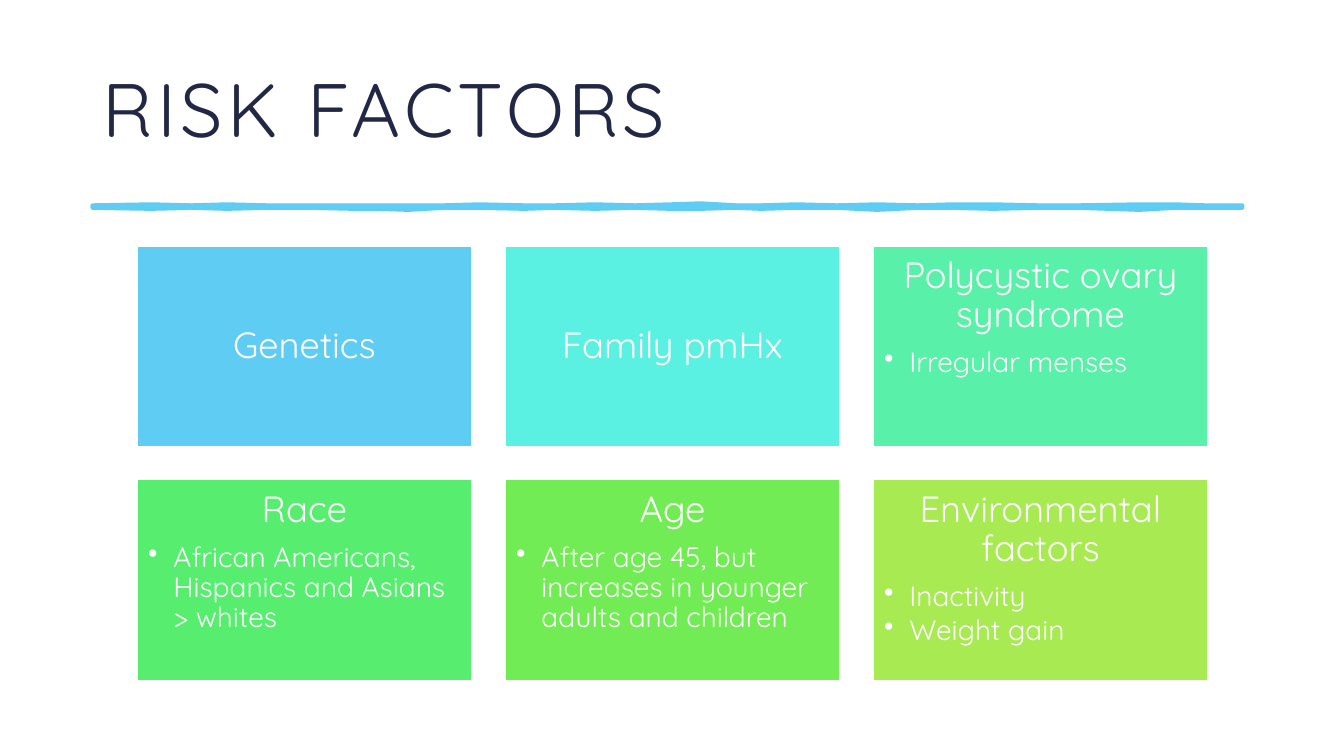
from dataclasses import dataclass

from lxml import etree
from pptx import Presentation
from pptx import util as u
from pptx.dml.color import RGBColor
from pptx.enum import shapes, text
from pptx.oxml.ns import qn

FONT = "Quicksand"
COLORS = {
    "navy": "212745", "white": "FFFFFF", "blue": "5ECCF3", "cyan": "5BF1E2",
    "mint": "59F0A9", "green": "57EE70", "lime": "72EC54", "olive": "A7EA52",
}

# Card grid, in inches
COLUMNS = 3
LEFT, TOP = 1.36, 2.44
CARD_W, CARD_H = 3.32, 1.99
GAP = 0.33
INSET = 0.11


@dataclass(frozen=True)
class Card:
    heading: str
    color: str
    bullets: tuple[str, ...] = ()


CARDS = (
    Card("Genetics", "blue"),
    Card("Family pmHx", "cyan"),
    Card("Polycystic ovary syndrome", "mint", ("Irregular menses",)),
    Card("Race", "green", ("African Americans, Hispanics and Asians > whites",)),
    Card("Age", "lime", ("After age 45, but increases in younger adults and children",)),
    Card("Environmental factors", "olive", ("Inactivity", "Weight gain")),
)

# Brush stroke under the title: x, upper edge, lower edge, in hundredths of an inch
STROKE = (
    (92, 204, 206), (150, 203, 207), (190, 204, 206), (225, 203, 207),
    (265, 204, 206), (310, 204, 206), (350, 204, 207), (375, 204, 207),
    (405, 204, 208), (440, 204, 206), (475, 203, 206), (520, 204, 207),
    (550, 204, 206), (590, 203, 207), (630, 204, 206), (665, 203, 207),
    (695, 202, 207), (730, 204, 206), (755, 204, 207), (790, 203, 206),
    (830, 204, 206), (870, 203, 208), (910, 204, 206), (945, 203, 206),
    (985, 203, 207), (1030, 204, 206), (1070, 204, 206), (1130, 203, 208),
    (1165, 203, 206), (1195, 204, 206), (1232, 204, 206),
)


def rgb(name: str) -> RGBColor:
    return RGBColor.from_string(COLORS[name])


def paint(sp, fill: str, line: str, width: float) -> None:
    sp.shadow.inherit = False
    sp.fill.solid()
    sp.fill.fore_color.rgb = rgb(fill)
    sp.line.color.rgb = rgb(line)
    sp.line.width = u.Pt(width)


def add_run(p, words: str, size: float, color: str):
    p.line_spacing = 0.9
    r = p.add_run()
    r.text = words
    r.font.name = FONT
    r.font.size = u.Pt(size)
    r.font.color.rgb = rgb(color)
    return r


def add_bullet(p) -> None:
    pPr = p._p.get_or_add_pPr()
    pPr.set("marL", str(u.Inches(0.25)))
    pPr.set("indent", str(-u.Inches(0.25)))
    etree.SubElement(pPr, qn("a:buChar")).set("char", "•")


def add_title(s, words: str) -> None:
    sp = s.shapes.add_textbox(u.Inches(0.92), u.Inches(0.4), u.Inches(11.5), u.Inches(1.45))
    tf = sp.text_frame
    tf.word_wrap = True
    tf.vertical_anchor = text.MSO_ANCHOR.MIDDLE
    p = tf.paragraphs[0]
    p.space_after = u.Pt(6)
    r = add_run(p, words, 54, "navy")
    r._r.get_or_add_rPr().set("spc", "300")


def add_stroke(s) -> None:
    upper = [(x, y) for x, y, _ in STROKE]
    lower = [(x, y) for x, _, y in reversed(STROKE)]
    outline = s.shapes.build_freeform(*upper[0], scale=u.Inches(0.01))
    outline.add_line_segments(upper[1:] + lower, close=True)
    sp = outline.convert_to_shape()
    paint(sp, "blue", "blue", 3.25)
    etree.SubElement(sp.line._get_or_add_ln(), qn("a:round"))


def add_card(s, card: Card, index: int) -> None:
    row, col = divmod(index, COLUMNS)
    sp = s.shapes.add_shape(
        shapes.MSO_SHAPE.RECTANGLE,
        u.Inches(LEFT + col * (CARD_W + GAP)), u.Inches(TOP + row * (CARD_H + GAP)),
        u.Inches(CARD_W), u.Inches(CARD_H))
    paint(sp, card.color, "white", 1)
    tf = sp.text_frame
    tf.word_wrap = True
    tf.margin_left = tf.margin_right = tf.margin_top = tf.margin_bottom = u.Inches(INSET)
    tf.vertical_anchor = text.MSO_ANCHOR.TOP if card.bullets else text.MSO_ANCHOR.MIDDLE
    p = tf.paragraphs[0]
    p.alignment = text.PP_ALIGN.CENTER
    p.space_after = u.Pt(9.1)
    add_run(p, card.heading, 26, "white")
    for words in card.bullets:
        p = tf.add_paragraph()
        p.level = 1
        p.alignment = text.PP_ALIGN.LEFT
        p.space_after = u.Pt(3)
        add_run(p, words, 20, "white")
        add_bullet(p)


def main() -> None:
    prs = Presentation()
    prs.slide_width, prs.slide_height = u.Inches(13.33), u.Inches(7.5)
    s = prs.slides.add_slide(prs.slide_layouts[6])
    add_title(s, "RISK FACTORS")
    add_stroke(s)
    for index, card in enumerate(CARDS):
        add_card(s, card, index)
    prs.save("out.pptx")


if __name__ == "__main__":
    main()
